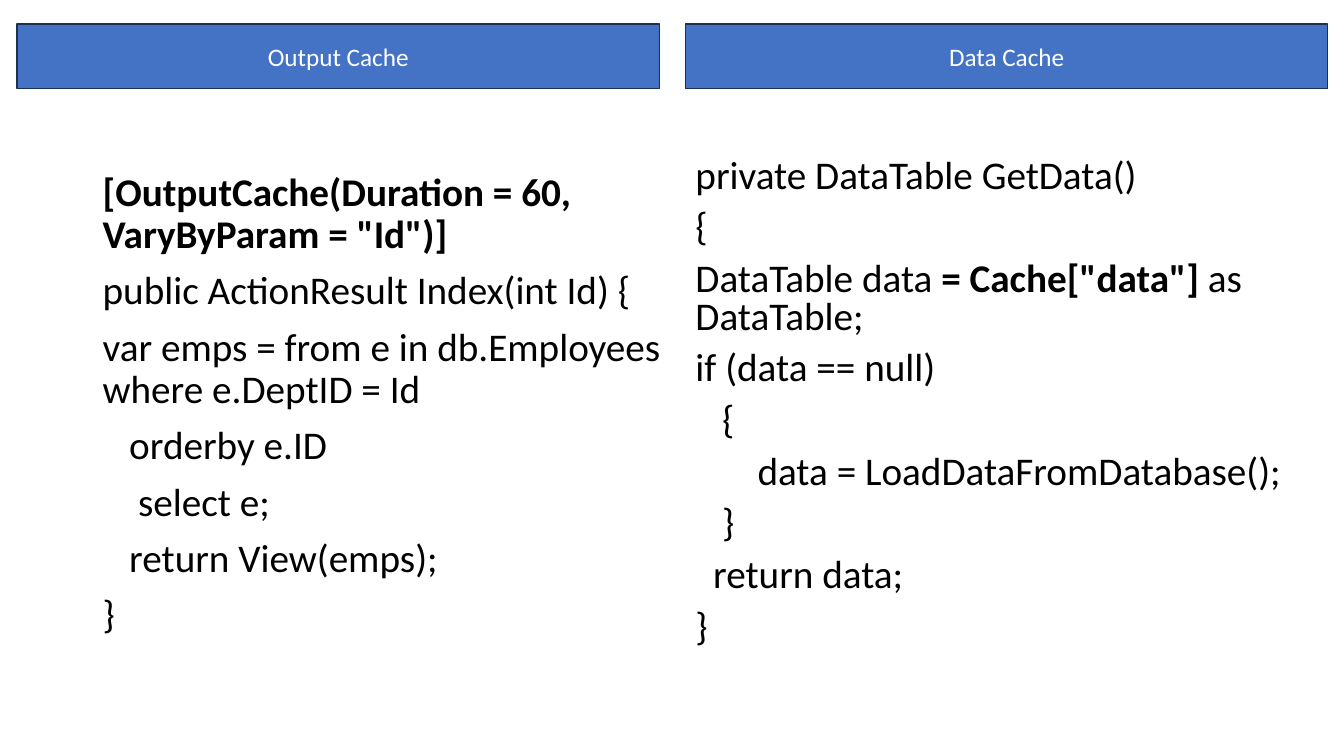
from typing import NamedTuple

from pptx import Presentation
from pptx.dml.color import RGBColor
from pptx.enum.shapes import MSO_SHAPE
from pptx.enum.text import MSO_ANCHOR, PP_ALIGN
from pptx.slide import Slide
from pptx.text.text import _Paragraph
from pptx.util import Inches, Pt

BLUE = RGBColor(0x44, 0x72, 0xC4)
NAVY = RGBColor(0x1C, 0x30, 0x52)
WHITE = RGBColor(0xFF, 0xFF, 0xFF)
BLACK = RGBColor(0x00, 0x00, 0x00)
FONT = "Calibri"


class Span(NamedTuple):
    text: str
    bold: bool = False


class Header(NamedTuple):
    left: float
    text: str


class CodeBlock(NamedTuple):
    left: float
    top: float
    width: float
    line_spacing: float
    lines: list[list[Span]]


HEADERS = [Header(0.17, "Output Cache"), Header(6.8, "Data Cache")]

CODE_BLOCKS = [
    CodeBlock(0.92, 1.66, 5.75, 0.9, [
        [Span('[OutputCache(Duration = 60, VaryByParam = "Id")]', True)],
        [Span("public ActionResult Index(int Id) {")],
        [Span("var emps = from e in db.Employees where e.DeptID = Id")],
        [Span("   orderby e.ID")],
        [Span("    select e;")],
        [Span("   return View(emps);")],
        [Span("}")],
    ]),
    CodeBlock(6.8, 1.53, 6.53, 0.8, [
        [Span("private DataTable GetData()")],
        [Span("{")],
        [Span("DataTable data "), Span('= Cache["data"]', True), Span(" as DataTable;")],
        [Span("if (data == null)")],
        [Span("   {")],
        [Span("       data = LoadDataFromDatabase();")],
        [Span("   }")],
        [Span("  return data;")],
        [Span("}")],
    ]),
]


def add_run(p: _Paragraph, span: Span, size: int, color: RGBColor) -> None:
    r = p.add_run()
    r.text = span.text
    r.font.name = FONT
    r.font.size = Pt(size)
    r.font.bold = span.bold
    r.font.color.rgb = color


def add_header(s: Slide, header: Header) -> None:
    sp = s.shapes.add_shape(MSO_SHAPE.RECTANGLE, Inches(header.left), Inches(0.24),
                            Inches(6.37), Inches(0.64))
    sp.shadow.inherit = False
    sp.fill.solid()
    sp.fill.fore_color.rgb = BLUE
    sp.line.color.rgb = NAVY
    sp.line.width = Pt(1)
    tf = sp.text_frame
    tf.vertical_anchor = MSO_ANCHOR.MIDDLE
    p = tf.paragraphs[0]
    p.alignment = PP_ALIGN.CENTER
    add_run(p, Span(header.text), 18, WHITE)


def add_code(s: Slide, block: CodeBlock) -> None:
    sp = s.shapes.add_textbox(Inches(block.left), Inches(block.top),
                              Inches(block.width), Inches(5.1))
    tf = sp.text_frame
    tf.word_wrap = True
    for i, line in enumerate(block.lines):
        p = tf.add_paragraph() if i else tf.paragraphs[0]
        p.line_spacing = block.line_spacing
        p.space_before = Pt(10 if i else 0)
        for span in line:
            add_run(p, span, 28, BLACK)


def main() -> None:
    prs = Presentation()
    prs.slide_width = Inches(13.33)
    prs.slide_height = Inches(7.5)
    s = prs.slides.add_slide(prs.slide_layouts[6])

    # Column headers
    for header in HEADERS:
        add_header(s, header)

    # Code samples
    for block in CODE_BLOCKS:
        add_code(s, block)

    prs.save("out.pptx")


if __name__ == "__main__":
    main()
